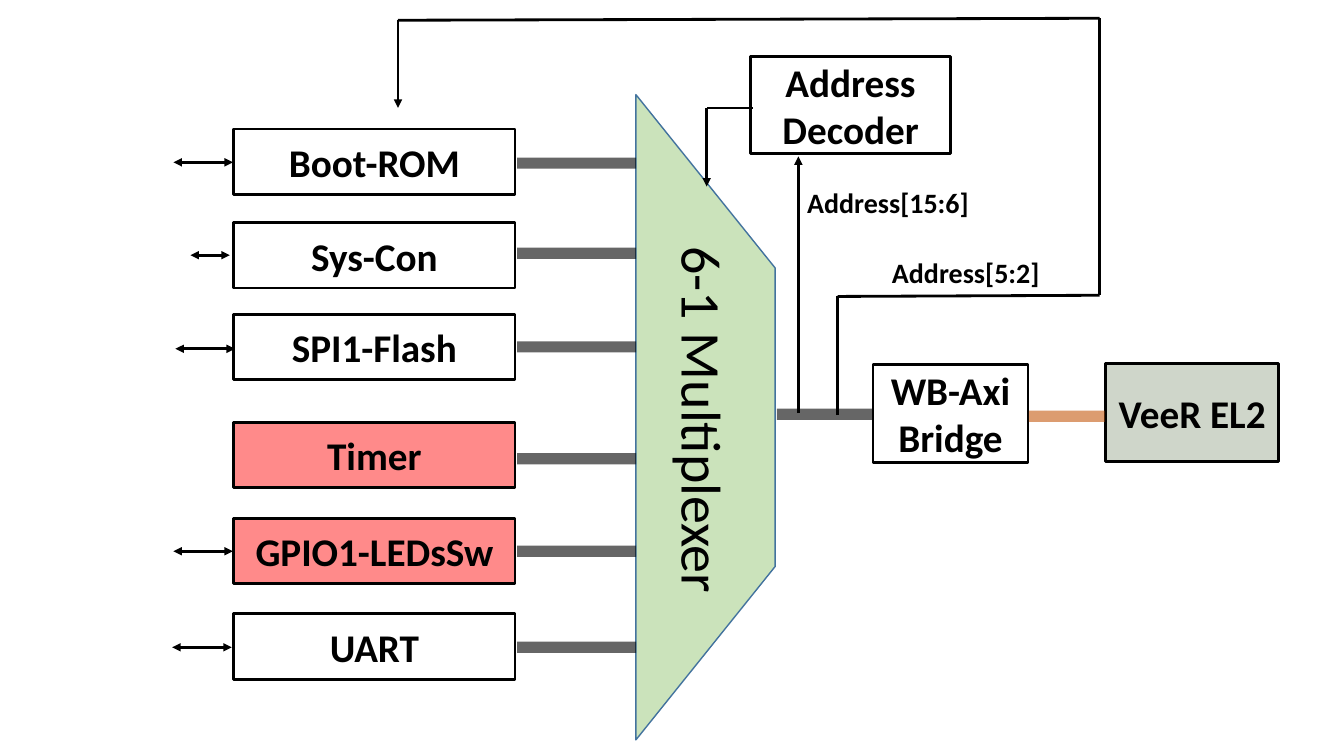
import pptx
import pptx.util
import pptx.dml.color
import pptx.enum.shapes
import pptx.enum.text
import pptx.oxml
import pptx.oxml.ns
from pptx.util import Cm

RGBColor = pptx.dml.color.RGBColor
SHAPE = pptx.enum.shapes.MSO_SHAPE
ALIGN = pptx.enum.text.PP_ALIGN

BLACK = RGBColor(0x00, 0x00, 0x00)
RED = RGBColor(0xFF, 0x00, 0x00)
LIGHT_GREEN = RGBColor(0xA9, 0xD1, 0x8E)
DARK_GREEN = RGBColor(0x38, 0x57, 0x23)
BLUE = RGBColor(0x43, 0x73, 0x9E)
ORANGE = RGBColor(0xC5, 0x5A, 0x11)


class Diagram:
    font = "Calibri"
    line_width = 2
    bus_width = 8
    bus_opacity = 60

    def __init__(self, slide):
        self.slide = slide

    def set_opacity(self, element, percent):
        for color in element.iter(pptx.oxml.ns.qn("a:srgbClr")):
            alpha = pptx.oxml.parse_xml(
                f'<a:alpha {pptx.oxml.ns.nsdecls("a")} val="{percent * 1000}"/>')
            color.append(alpha)

    def add_text(self, shape, text, size, bold, align):
        paragraph = shape.text_frame.paragraphs[0]
        paragraph.alignment = align
        run = paragraph.add_run()
        run.text = text
        run.font.name = self.font
        run.font.size = pptx.util.Pt(size)
        run.font.bold = bold
        run.font.color.rgb = BLACK

    def shape(self, kind, left, top, width, height, fill=None, opacity=100,
              line=BLACK, line_width=line_width):
        shape = self.slide.shapes.add_shape(
            kind, Cm(left), Cm(top), Cm(width), Cm(height))
        shape.shadow.inherit = False
        if fill is None:
            shape.fill.background()
        else:
            shape.fill.solid()
            shape.fill.fore_color.rgb = fill
            self.set_opacity(shape.element.spPr, opacity)
        shape.line.color.rgb = line
        shape.line.width = pptx.util.Pt(line_width)
        return shape

    def block(self, text, left, top, width, height, fill=None, opacity=100):
        shape = self.shape(SHAPE.RECTANGLE, left, top, width, height, fill, opacity)
        shape.text_frame.word_wrap = True
        shape.text_frame.vertical_anchor = pptx.enum.text.MSO_ANCHOR.MIDDLE
        self.add_text(shape, text, 28, True, ALIGN.CENTER)

    def label(self, text, left, top, width, height, size=20, bold=True,
              align=ALIGN.LEFT, rotation=0):
        box = self.slide.shapes.add_textbox(
            Cm(left), Cm(top), Cm(width), Cm(height))
        box.rotation = rotation
        box.text_frame.word_wrap = False
        box.text_frame.auto_size = pptx.enum.text.MSO_AUTO_SIZE.SHAPE_TO_FIT_TEXT
        self.add_text(box, text, size, bold, align)

    def line(self, start, end, color=BLACK, width=line_width, arrows=()):
        connector = self.slide.shapes.add_connector(
            pptx.enum.shapes.MSO_CONNECTOR.STRAIGHT,
            Cm(start[0]), Cm(start[1]), Cm(end[0]), Cm(end[1]))
        connector.line.color.rgb = color
        connector.line.width = pptx.util.Pt(width)
        namespace = pptx.oxml.ns.nsdecls("a")
        properties = connector.element.spPr
        outline = properties.find(pptx.oxml.ns.qn("a:ln"))
        for arrow in arrows:
            outline.append(
                pptx.oxml.parse_xml(f'<a:{arrow} {namespace} type="triangle"/>'))
        properties.append(pptx.oxml.parse_xml(f"<a:effectLst {namespace}/>"))
        return connector

    def bus(self, left, right, y, color=BLACK):
        connector = self.line((left, y), (right, y), color, self.bus_width)
        self.set_opacity(connector.element.spPr, self.bus_opacity)

    def route(self, *points):
        for index in range(1, len(points)):
            arrows = ("tailEnd",) if index == len(points) - 1 else ()
            self.line(points[index - 1], points[index], arrows=arrows)


def main():
    presentation = pptx.Presentation()
    presentation.slide_width = Cm(33.87)
    presentation.slide_height = Cm(19.05)
    slide = presentation.slides.add_slide(presentation.slide_layouts[6])
    diagram = Diagram(slide)

    multiplexer = diagram.shape(SHAPE.TRAPEZOID, 9.65, 8.76, 16.26, 3.51,
                                LIGHT_GREEN, 60, BLUE, 1)
    multiplexer.adjustments[0] = 1.245
    multiplexer.rotation = 90

    peripherals = [
        ("Boot-ROM", 3.25, 4.11, None, (4.37, 5.87, 4.09)),
        ("Sys-Con", 5.61, 6.38, None, (4.8, 5.79, 6.43)),
        ("SPI1-Flash", 7.92, 8.74, None, (4.42, 5.92, 8.79)),
        ("Timer", 10.64, 11.56, RED, None),
        ("GPIO1-LEDsSw", 13.06, 13.89, RED, (4.37, 5.87, 13.89)),
        ("UART", 15.47, 16.31, None, (4.34, 5.84, 16.31)),
    ]
    for name, top, bus_y, fill, port in peripherals:
        diagram.block(name, 5.89, top, 7.09, 1.65, fill, 46)
        diagram.bus(13.03, 16.03, bus_y)
        if port:
            left, right, y = port
            diagram.line((left, y), (right, y), arrows=("headEnd", "tailEnd"))

    diagram.block("Address Decoder", 18.92, 1.42, 5.03, 2.46)
    diagram.block("WB-Axi Bridge", 22, 9.19, 3.91, 2.46)
    diagram.block("VeeR EL2", 27.86, 9.17, 4.37, 2.46, DARK_GREEN, 24)
    diagram.bus(19.58, 22, 10.44)
    diagram.bus(25.93, 27.84, 10.49, ORANGE)

    diagram.route((18.97, 2.72), (17.81, 2.72), (17.81, 4.7))
    diagram.route((20.12, 10.41), (20.12, 3.94))
    diagram.route((21.11, 10.46), (21.11, 7.47), (27.71, 7.44),
                  (27.71, 0.46), (10.03, 0.51), (10.03, 2.72))

    diagram.label("Address[15:6]", 20.09, 4.55, 4.62, 1.12)
    diagram.label("Address[5:2]", 22.23, 6.32, 4.27, 1.12)
    diagram.label("6-1 Multiplexer", 13.06, 9.6, 9.35, 1.96,
                  size=40, bold=False, align=ALIGN.CENTER, rotation=90)

    presentation.save("out.pptx")


if __name__ == "__main__":
    main()
